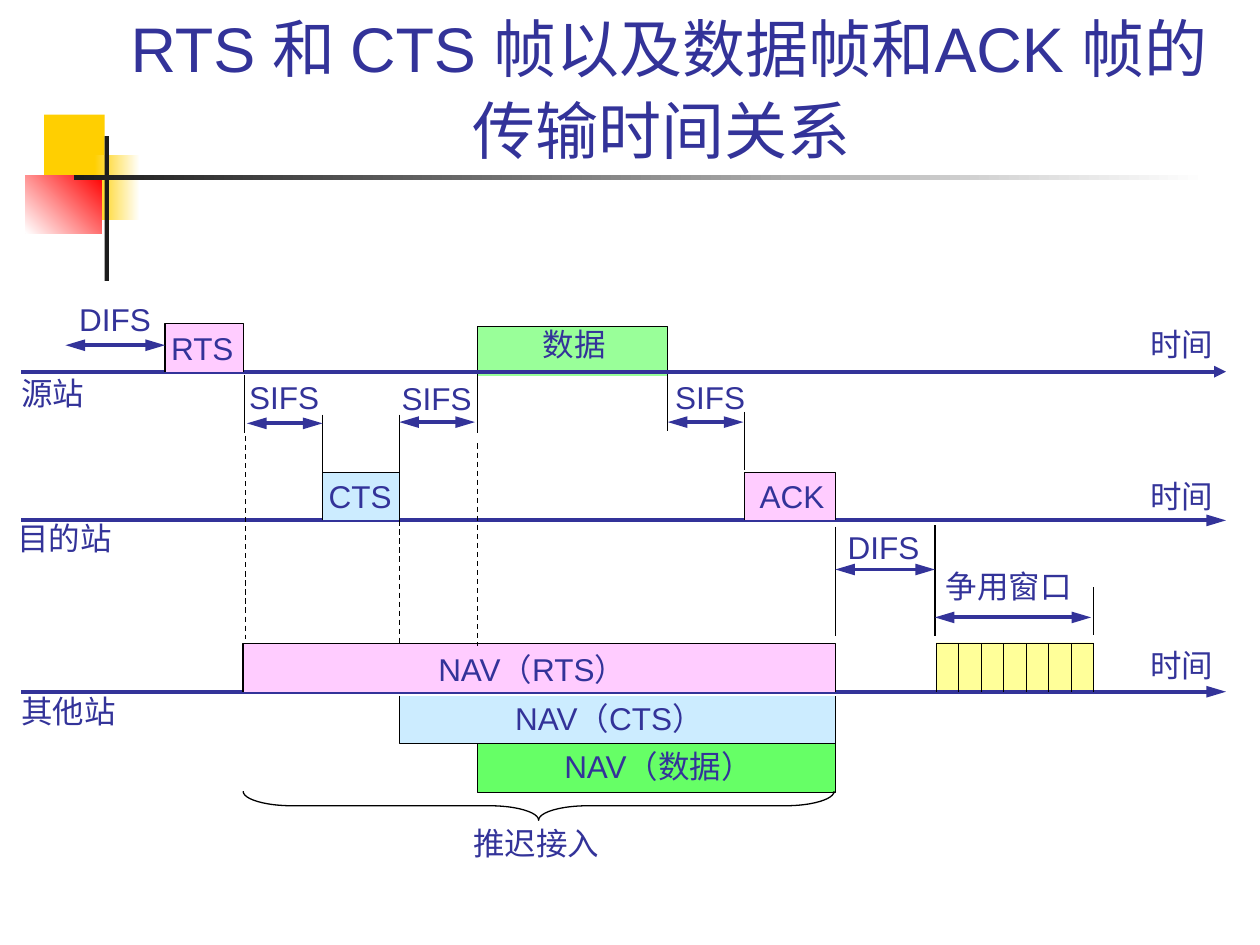
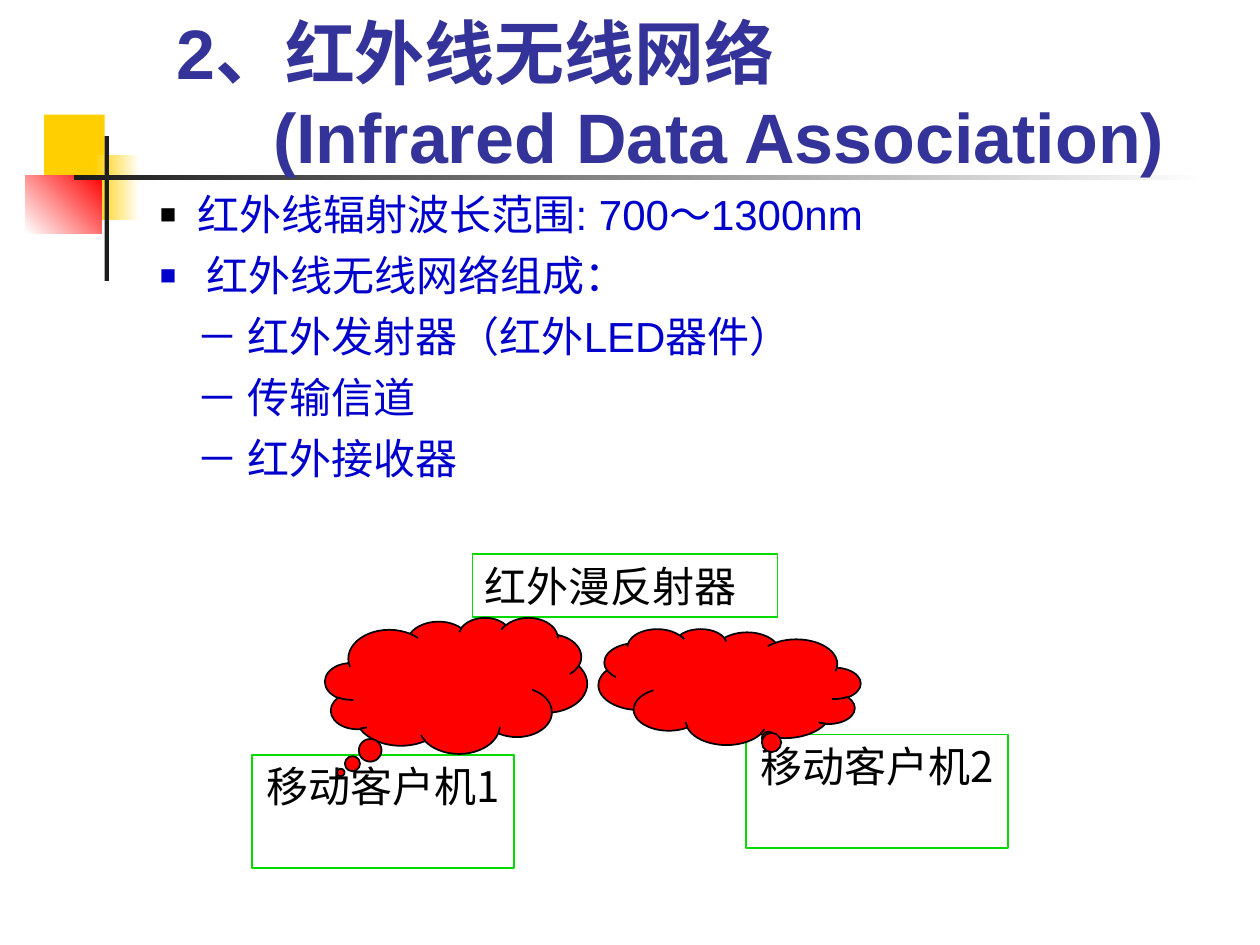
from typing import NamedTuple

from lxml.etree import SubElement
from pptx import Presentation
from pptx.dml.color import RGBColor
from pptx.enum.dml import MSO_LINE
from pptx.enum.shapes import MSO_CONNECTOR, MSO_SHAPE
from pptx.enum.text import MSO_ANCHOR, PP_ALIGN
from pptx.oxml.ns import qn
from pptx.util import Emu, Inches, Pt

SLIDE_WIDTH, SLIDE_HEIGHT = Inches(10), Inches(7.5)
UNIT = SLIDE_WIDTH / 100  # the grid has 100 columns and 75 rows of square cells

COLORS = {
    "navy": "333399", "blue": "0000CC", "black": "000000", "white": "FFFFFF",
    "gold": "FFCF01", "red": "FF0000", "ink": "1C1C1C", "frame": "08D903",
    "pink": "FFCCFF", "sky": "CCECFF", "mint": "99FF99", "green": "66FF66",
    "yellow": "FFFF99",
}

# Columns where frames start and end, and rows of the three time axes
RTS_START, RTS_END = 13.1, 19.3
CTS_START, CTS_END = 25.6, 31.7
DATA_START, DATA_END = 37.9, 53
ACK_START, ACK_END = 59.1, 66.3
WINDOW_START, WINDOW_END = 74.3, 86.8
SOURCE_ROW, DESTINATION_ROW, OTHERS_ROW = 29.5, 41.3, 54.9
SLOTS = 7


class Box(NamedTuple):
    left: float
    top: float
    width: float
    height: float


class Band(NamedTuple):
    box: Box
    start: str
    end: str
    angle: int = 180


class Block(NamedTuple):
    """A frame without a line on its axis side."""
    left: float
    right: float
    axis_side: float
    far_side: float
    fill: str


class Line(NamedTuple):
    x1: float
    y1: float
    x2: float
    y2: float
    dashed: bool = False


class Label(NamedTuple):
    text: str
    left: float
    top: float
    width: float


class Item(NamedTuple):
    text: str
    margin: float
    bullet: str = ""


class Station(NamedTuple):
    text: str
    left: float
    top: float
    width: float
    font: str
    align: PP_ALIGN
    lines: int


BANDS = [
    Band(Box(3.5, 9.1, 4.8, 5.2), "gold", "gold"),
    Band(Box(7.5, 12.3, 3.6, 5.2), "white", "gold"),
    Band(Box(2, 13.9, 6.1, 4.6), "red", "white", 225),
    Band(Box(8.3, 10.8, 0.35, 11.5), "ink", "ink"),
    Band(Box(5.9, 13.9, 90, 0.35), "white", "ink"),
]

BLOCKS_BEHIND_AXES = [
    Block(DATA_START, ACK_END, 59, 62.9, "green"),
    Block(DATA_START, DATA_END, 29.8, 25.9, "mint"),
]
BLOCKS = [
    Block(RTS_START, RTS_END, SOURCE_ROW, 25.7, "pink"),
    Block(CTS_START, CTS_END, DESTINATION_ROW, 37.5, "sky"),
    Block(ACK_START, ACK_END, DESTINATION_ROW, 37.5, "pink"),
    Block(RTS_END, ACK_END, OTHERS_ROW, 51.1, "pink"),
    Block(CTS_END, ACK_END, 55.2, 59, "sky"),
]
GUIDES = [
    Line(19.4, 29.8, 19.4, 34.4),
    Line(CTS_START, 32.9, CTS_START, 37.5),
    Line(CTS_END, 32.9, CTS_END, 37.5),
    Line(DATA_START, 29.8, DATA_START, 34.4),
    Line(DATA_END, 29.7, DATA_END, 34.2),
    Line(ACK_START, 32.7, ACK_START, 37.3),
    Line(ACK_END, 41.8, ACK_END, 50.5),
    Line(74.2, 41.7, 74.2, 50.5),
    Line(WINDOW_END, 46.6, WINDOW_END, 50.4),
    Line(19.5, 34.6, 19.5, 50.7, True),
    Line(CTS_END, DESTINATION_ROW, CTS_END, 51.3, True),
    Line(DATA_START, 35.2, DATA_START, 51.3, True),
]
INTERVALS = [
    Line(5.2, 27.4, RTS_START, 27.4),
    Line(19.6, 33.6, CTS_START, 33.6),
    Line(CTS_END, 33.5, 37.7, 33.5),
    Line(DATA_END, 33.5, 59, 33.5),
    Line(ACK_END, 45.2, 74.2, 45.2),
    Line(74.2, 49, 86.6, 49),
]
LABELS = [
    Label("DIFS", 5.3, 23.3, 8), Label("RTS", 12.6, 25.6, 7.3),
    Label("数据", 42.1, 25.3, 7.3), Label("源站", 0.7, 29.2, 7.3),
    Label("SIFS", 18.8, 29.5, 8), Label("SIFS", 30.9, 29.6, 8),
    Label("SIFS", 52.6, 29.5, 8), Label("CTS", 25.1, 37.4, 7.3),
    Label("ACK", 59.3, 37.4, 7.5), Label("目的站", 0.4, 40.7, 9.8),
    Label("DIFS", 66.3, 41.4, 8), Label("争用窗口", 74.1, 44.5, 12.3),
    Label("其他站", 0.7, 54.4, 9.8), Label("NAV（RTS）", 33.8, 51.1, 19.5),
    Label("NAV（CTS）", 39.9, 55, 19.5), Label("NAV（数据）", 43.8, 58.8, 18.5),
    Label("推迟接入", 36.6, 64.9, 12.3),
    *(Label("时间", 90.3, top, 7.3) for top in (25.3, 37.4, 50.8)),
]

ITEMS = [
    Item("红外线辐射波长范围: 700～1300nm", 3, "black"),
    Item("红外线无线网络组成：", 3.7, "blue"),
    Item("－ 红外发射器（红外LED器件）", 2.9),
    Item("－ 传输信道", 2.9),
    Item("－ 红外接收器", 2.9),
]
STATIONS = [
    Station("红外漫反射器", 37.5, 44, 24.2, "Times New Roman", PP_ALIGN.LEFT, 1),
    Station("移动客户机1", 20, 59.9, 20.8, "Noto Sans CJK SC", PP_ALIGN.CENTER, 2),
    Station("移动客户机2", 59.2, 58.3, 20.8, "Noto Sans CJK SC", PP_ALIGN.CENTER, 2),
]


def grid(cells: float) -> Emu:
    return Emu(round(cells * UNIT))


def place(box: Box) -> list[Emu]:
    return [grid(cells) for cells in box]


def color(name: str) -> RGBColor:
    return RGBColor.from_string(COLORS[name])


def style(shape, fill: str = "", line: str = "", width: float = 0.75) -> None:
    shape.shadow.inherit = False
    if fill:
        shape.fill.solid()
        shape.fill.fore_color.rgb = color(fill)
    else:
        shape.fill.background()
    if line:
        shape.line.color.rgb = color(line)
        shape.line.width = Pt(width)
    else:
        shape.line.fill.background()


def add_preset(slide, kind: MSO_SHAPE, box: Box, fill: str = "", line: str = "", width: float = 0.75):
    shape = slide.shapes.add_shape(kind, *place(box))
    style(shape, fill, line, width)
    return shape


def set_font(paragraph, size: float, name: str, ink: str, bold: bool = False) -> None:
    font = paragraph.font
    font.size, font.name, font.bold = Pt(size), name, bold
    font.color.rgb = color(ink)


def add_bands(slide) -> None:
    for band in BANDS:
        shape = add_preset(slide, MSO_SHAPE.RECTANGLE, band.box, band.start)
        if band.start != band.end:
            shape.fill.gradient()
            shape.fill.gradient_angle = band.angle
            for stop, name in zip(shape.fill.gradient_stops, (band.start, band.end)):
                stop.color.rgb = color(name)


def add_text(slide, box: Box, lines: list[str]):
    frame = slide.shapes.add_textbox(*place(box)).text_frame
    frame.word_wrap = True
    frame.text = "\n".join(lines)
    return frame


def add_title(slide, box: Box, lines: list[str], size: int, align: PP_ALIGN, bold: bool = False):
    frame = add_text(slide, box, lines)
    frame.vertical_anchor = MSO_ANCHOR.BOTTOM
    for paragraph in frame.paragraphs:
        paragraph.alignment = align
        set_font(paragraph, size, "Arial", "navy", bold)
    return frame


def set_indent(paragraph, margin: float, bullet: str = "") -> None:
    properties = paragraph._p.get_or_add_pPr()
    properties.set("marL", str(grid(margin)))
    properties.set("indent", str(-grid(margin) if bullet else 0))
    if bullet:
        bullet_color = SubElement(properties, qn("a:buClr"))
        SubElement(bullet_color, qn("a:srgbClr"), val=COLORS[bullet])
        SubElement(properties, qn("a:buSzPct"), val="65000")
        SubElement(properties, qn("a:buFont"), typeface="Arial")
        SubElement(properties, qn("a:buChar"), char="■")


def add_line(slide, line: Line, ink: str = "black", width: float = 0.75,
             heads: tuple[str, ...] = (), head_length: str = "lg") -> None:
    """Draw a line; heads lists headEnd and tailEnd as needed."""
    connector = slide.shapes.add_connector(
        MSO_CONNECTOR.STRAIGHT, grid(line.x1), grid(line.y1), grid(line.x2), grid(line.y2))
    connector.line.color.rgb = color(ink)
    connector.line.width = Pt(width)
    if line.dashed:
        connector.line.dash_style = MSO_LINE.DASH
    for head in heads:
        SubElement(connector.line._get_or_add_ln(), qn(f"a:{head}"),
                   type="triangle", w="med", len=head_length)
    SubElement(connector._element.spPr, qn("a:effectLst"))


def add_block(slide, block: Block) -> None:
    left, right, axis_side, far_side = (grid(cells) for cells in block[:4])
    builder = slide.shapes.build_freeform(left, axis_side)
    builder.add_line_segments([(left, far_side), (right, far_side), (right, axis_side)], close=False)
    style(builder.convert_to_shape(), block.fill, "black")


def add_contention_window(slide) -> None:
    top, bottom = 51.1, OTHERS_ROW
    pitch = (WINDOW_END - WINDOW_START) / SLOTS
    for slot in range(SLOTS + 1):
        x = WINDOW_START + slot * pitch
        add_line(slide, Line(x, top, x, bottom))
    add_line(slide, Line(WINDOW_START, top, WINDOW_END, top))


def build_timing_slide(slide) -> None:
    add_bands(slide)
    add_preset(slide, MSO_SHAPE.RECTANGLE,
               Box(WINDOW_START, 51, WINDOW_END - WINDOW_START, 3.9), "yellow")
    title = add_title(slide, Box(9, 0, 88.2, 13.9),
                      ["RTS 和 CTS 帧以及数据帧和ACK 帧的传输时间关系"], 36, PP_ALIGN.CENTER)
    closing_space = title.paragraphs[0].add_run()
    closing_space.text, closing_space.font.size = " ", Pt(40)
    for block in BLOCKS_BEHIND_AXES:
        add_block(slide, block)
    for row, head_length in ((SOURCE_ROW, "med"), (DESTINATION_ROW, "lg"), (OTHERS_ROW, "lg")):
        add_line(slide, Line(1.7, row, 97.3, row), "navy", 2.25, ("tailEnd",), head_length)
    for block in BLOCKS:
        add_block(slide, block)
    add_contention_window(slide)
    for guide in GUIDES:
        add_line(slide, guide)
    for interval in INTERVALS:
        add_line(slide, interval, "navy", 2.25, ("headEnd", "tailEnd"))
    brace = add_preset(slide, MSO_SHAPE.LEFT_BRACE, Box(41.6, 40.5, 2.3, 46.9), "", "black")
    brace.rotation = 270
    brace.adjustments[0], brace.adjustments[1] = 1.7, 0.5
    for label in LABELS:
        frame = add_text(slide, Box(label.left, label.top, label.width, 4), [label.text])
        set_font(frame.paragraphs[0], 18, "Arial", "navy")


def add_cloud(slide, box: Box, tip: tuple[float, float], flipped: bool = False) -> None:
    cloud = add_preset(slide, MSO_SHAPE.CLOUD_CALLOUT, box, "red", "black", 1)
    cloud.adjustments[0], cloud.adjustments[1] = tip
    if flipped:
        cloud._element.spPr.xfrm.set("flipH", "1")


def build_infrared_slide(slide) -> None:
    add_bands(slide)
    title = add_title(slide, Box(13, 3.6, 81.9, 11),
                      ["2、红外线无线网络", "(Infrared Data Association)"], 40, PP_ALIGN.LEFT, True)
    set_indent(title.paragraphs[1], 7.7)
    body = add_text(slide, Box(11.7, 14.5, 73.2, 24.4), [item.text for item in ITEMS])
    for number, (paragraph, item) in enumerate(zip(body.paragraphs, ITEMS)):
        set_indent(paragraph, item.margin, item.bullet)
        set_font(paragraph, 24, "Arial", "blue")
        if number:
            paragraph.space_before = Pt(6)
    for station in STATIONS:
        box = Box(station.left, station.top, station.width, 1 + 4 * station.lines)
        frame = add_preset(slide, MSO_SHAPE.RECTANGLE, box, "", "frame", 1).text_frame
        frame.word_wrap = True
        frame.vertical_anchor = MSO_ANCHOR.TOP
        frame.text = station.text
        frame.paragraphs[0].alignment = station.align
        set_font(frame.paragraphs[0], 24, station.font, "black")
    add_cloud(slide, Box(25.8, 49, 20.8, 10.8), (-0.44, 0.64))
    add_cloud(slide, Box(47.5, 49.9, 20.8, 9.2), (-0.15, 0.45), True)


def main() -> None:
    presentation = Presentation()
    presentation.slide_width, presentation.slide_height = SLIDE_WIDTH, SLIDE_HEIGHT
    for build in (build_timing_slide, build_infrared_slide):
        build(presentation.slides.add_slide(presentation.slide_layouts[6]))
    presentation.save("out.pptx")


if __name__ == "__main__":
    main()
